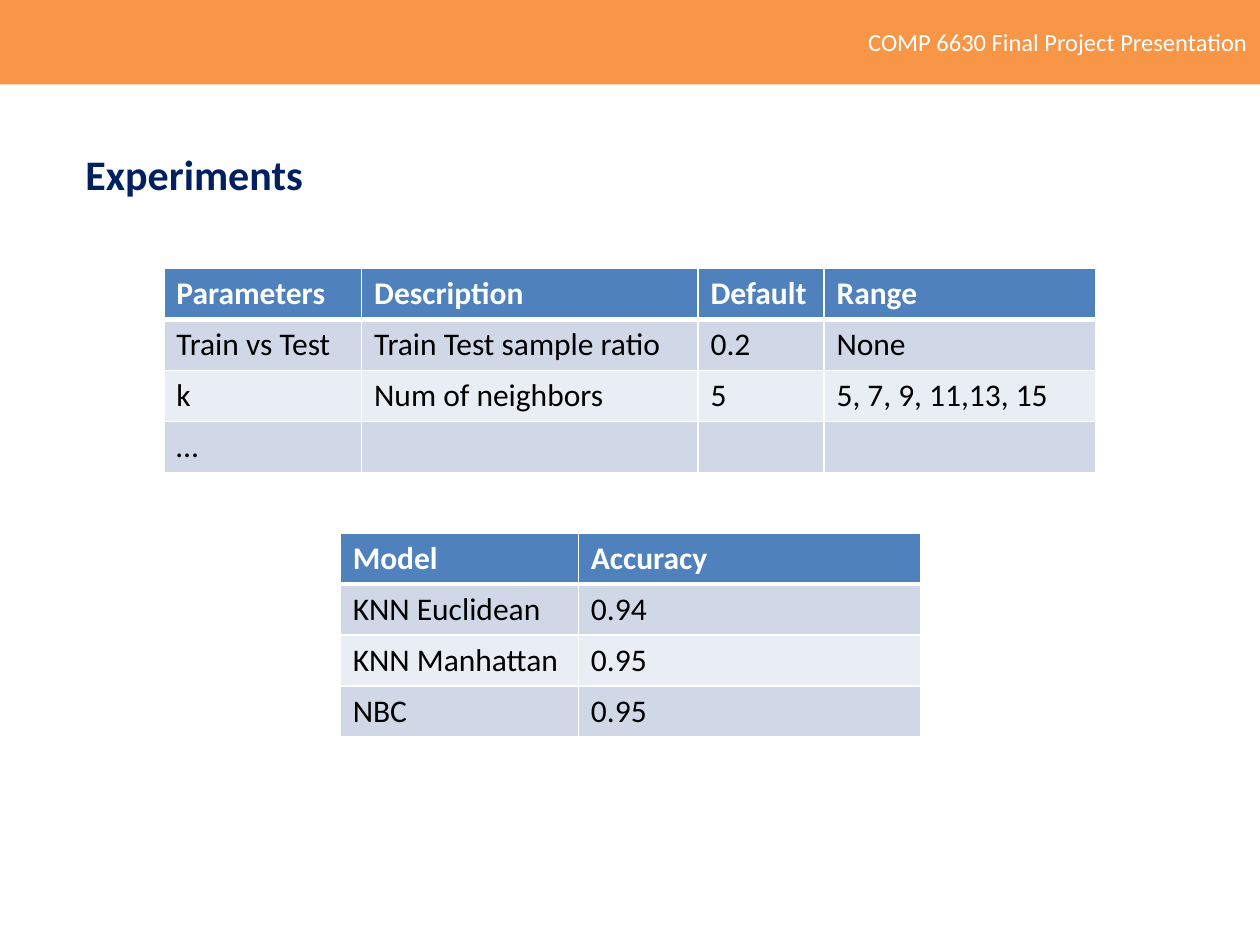
from dataclasses import dataclass

import lxml.etree
import pptx
import pptx.dml.color
import pptx.enum.shapes
import pptx.enum.text
import pptx.oxml.ns
import pptx.util
from pptx.util import Inches

COLORS = {
    "banner": "F79646",
    "title": "002060",
    "header": "4F81BD",
    "odd row": "D0D8E8",
    "even row": "E9EDF4",
    "white": "FFFFFF",
    "black": "000000",
}
FONT = "Calibri"
ROW_HEIGHT = 0.405


@dataclass
class TableSpec:
    left: float
    top: float
    widths: list[float]
    rows: list[list[str]]


TABLES = [
    TableSpec(1.3, 2.13, [1.57, 2.67, 1, 2.16], [
        ["Parameters", "Description", "Default", "Range"],
        ["Train vs Test", "Train Test sample ratio", "0.2", "None"],
        ["k", "Num of neighbors", "5", "5, 7, 9, 11,13, 15"],
        ["…", "", "", ""],
    ]),
    TableSpec(2.7, 4.23, [1.89, 2.72], [
        ["Model", "Accuracy"],
        ["KNN Euclidean", "0.94"],
        ["KNN Manhattan", "0.95"],
        ["NBC", "0.95"],
    ]),
]


def rgb(name: str) -> pptx.dml.color.RGBColor:
    return pptx.dml.color.RGBColor.from_string(COLORS[name])


def write(frame, text: str, size: int, color: str, bold: bool = False) -> None:
    frame.text = text
    for run in frame.paragraphs[0].runs:
        run.font.name = FONT
        run.font.size = pptx.util.Pt(size)
        run.font.bold = bold
        run.font.color.rgb = rgb(color)


def set_borders(cell, top: int, bottom: int) -> None:
    """Draw white cell borders; widths are in points."""
    properties = cell._tc.get_or_add_tcPr()
    qn = pptx.oxml.ns.qn
    sides = {"lnL": 1, "lnR": 1, "lnT": top, "lnB": bottom}
    for position, (side, width) in enumerate(sides.items()):
        line = lxml.etree.Element(qn(f"a:{side}"), w=str(pptx.util.Pt(width)))
        fill = lxml.etree.SubElement(line, qn("a:solidFill"))
        lxml.etree.SubElement(fill, qn("a:srgbClr"), val=COLORS["white"])
        properties.insert(position, line)


def draw_table(slide, spec: TableSpec) -> None:
    table = slide.shapes.add_table(
        len(spec.rows), len(spec.widths), Inches(spec.left), Inches(spec.top),
        Inches(sum(spec.widths)), Inches(ROW_HEIGHT * len(spec.rows))).table
    for column, width in zip(table.columns, spec.widths):
        column.width = Inches(width)
    for r, texts in enumerate(spec.rows):
        table.rows[r].height = Inches(ROW_HEIGHT)
        is_header = r == 0
        fill = "header" if is_header else "odd row" if r % 2 else "even row"
        for c, text in enumerate(texts):
            cell = table.cell(r, c)
            cell.fill.solid()
            cell.fill.fore_color.rgb = rgb(fill)
            set_borders(cell, top=3 if r == 1 else 1, bottom=3 if is_header else 1)
            write(cell.text_frame, text, 18, "white" if is_header else "black", is_header)


def main() -> None:
    presentation = pptx.Presentation()
    presentation.slide_width = Inches(10)
    presentation.slide_height = Inches(7.5)
    slide = presentation.slides.add_slide(presentation.slide_layouts[6])

    # Title
    title = slide.shapes.add_textbox(Inches(0.58), Inches(1.13), Inches(7.5), Inches(0.5))
    title.text_frame.word_wrap = True
    write(title.text_frame, "Experiments", 24, "title", bold=True)

    # Course banner
    banner = slide.shapes.add_shape(
        pptx.enum.shapes.MSO_SHAPE.RECTANGLE, 0, 0, Inches(10), Inches(0.67))
    banner.shadow.inherit = False
    banner.fill.solid()
    banner.fill.fore_color.rgb = rgb("banner")
    banner.line.fill.background()
    banner.text_frame.vertical_anchor = pptx.enum.text.MSO_ANCHOR.MIDDLE
    write(banner.text_frame, "COMP 6630 Final Project Presentation", 14, "white")
    banner.text_frame.paragraphs[0].alignment = pptx.enum.text.PP_ALIGN.RIGHT

    # Parameter and accuracy tables
    for spec in TABLES:
        draw_table(slide, spec)

    presentation.save("out.pptx")


if __name__ == "__main__":
    main()
